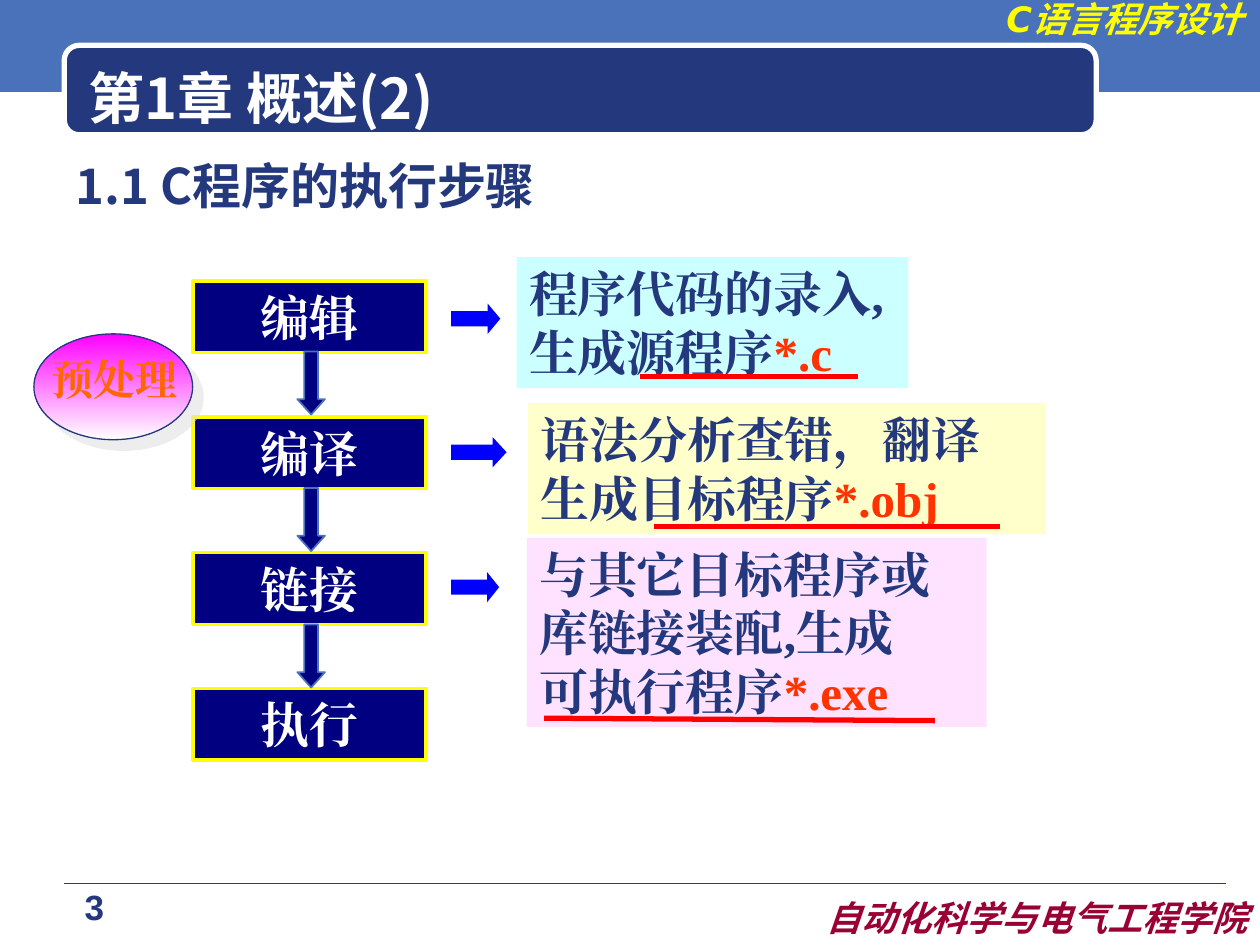
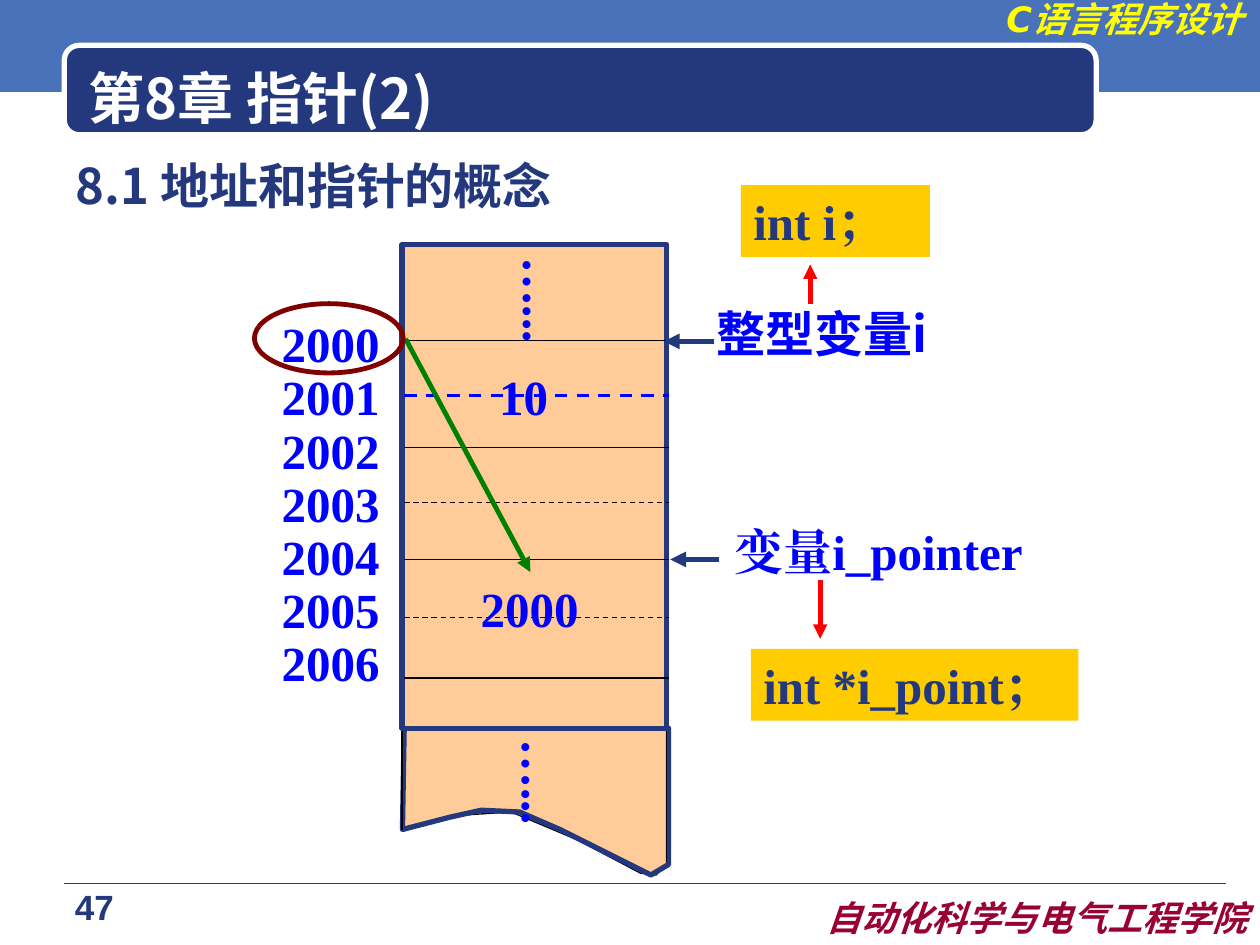
"""Build two C programming lecture slides: program steps and pointers."""
import pptx
import pptx.dml.color
import pptx.enum.dml
import pptx.enum.shapes
import pptx.enum.text
import pptx.oxml.ns
import pptx.oxml.xmlchemy
import pptx.util
from lxml import etree

Pt = pptx.util.Pt
RGBColor = pptx.dml.color.RGBColor
Preset = pptx.enum.shapes.MSO_SHAPE
Align = pptx.enum.text.PP_ALIGN
Anchor = pptx.enum.text.MSO_ANCHOR
qn = pptx.oxml.ns.qn

WHITE = RGBColor(0xFF, 0xFF, 0xFF)
BLACK = RGBColor(0x00, 0x00, 0x00)
BAND = RGBColor(0x49, 0x72, 0xBB)
RULE = RGBColor(0x1A, 0x3D, 0x97)
INDIGO = RGBColor(0x23, 0x38, 0x7D)
NAVY = RGBColor(0x00, 0x00, 0x80)
BLUE = RGBColor(0x00, 0x00, 0xFF)
YELLOW = RGBColor(0xFF, 0xFF, 0x00)
CRIMSON = RGBColor(0x99, 0x00, 0x33)
MAROON = RGBColor(0x80, 0x00, 0x00)
RED = RGBColor(0xFF, 0x00, 0x00)
SCARLET = RGBColor(0xFF, 0x33, 0x00)
ORANGE = RGBColor(0xFF, 0x66, 0x00)
MAGENTA = RGBColor(0xFF, 0x00, 0xFF)
GREEN = RGBColor(0x00, 0x80, 0x00)
CYAN_PALE = RGBColor(0xCC, 0xFF, 0xFF)
YELLOW_PALE = RGBColor(0xFF, 0xFF, 0xCC)
PINK_PALE = RGBColor(0xFE, 0xE2, 0xFF)
PEACH = RGBColor(0xFF, 0xCC, 0x99)
GOLD = RGBColor(0xFF, 0xCC, 0x00)
SERIF = "Times New Roman"
SANS = "Noto Sans CJK SC"


def draw_shape(slide, preset, frame, fill=None, outline=None, width=1, adjustment=None):
    """Add a shape, or a text box when preset is None, at a frame in points."""
    frame = [Pt(value) for value in frame]
    if preset is None:
        return slide.shapes.add_textbox(*frame)
    shape = slide.shapes.add_shape(preset, *frame)
    shape.shadow.inherit = False
    if fill is None:
        shape.fill.background()
    else:
        shape.fill.solid()
        shape.fill.fore_color.rgb = fill
    if outline is None:
        shape.line.fill.background()
    else:
        shape.line.color.rgb = outline
        shape.line.width = Pt(width)
    if adjustment is not None:
        shape.adjustments[len(shape.adjustments) - 1] = adjustment
    return shape


def write(shape, paragraphs, color, size=28, name=SERIF, align=Align.LEFT,
          anchor=Anchor.TOP, wrap=True, italic=False):
    """Fill a shape with paragraphs, each a list of (text, colour or None) runs."""
    frame = shape.text_frame
    frame.word_wrap = wrap
    frame.auto_size = pptx.enum.text.MSO_AUTO_SIZE.NONE
    frame.vertical_anchor = anchor
    for index, runs in enumerate(paragraphs):
        paragraph = frame.add_paragraph() if index else frame.paragraphs[0]
        paragraph.alignment = align
        paragraph.space_before = Pt(0)
        for text, run_color in runs:
            run = paragraph.add_run()
            run.text = text
            run.font.size = Pt(size)
            run.font.name = name
            run.font.bold = True
            run.font.italic = italic
            run.font.color.rgb = run_color or color
            east_asian = etree.SubElement(run.font._element, qn("a:ea"))
            east_asian.set("typeface", name)


presentation = pptx.Presentation()
presentation.slide_width = Pt(720)
presentation.slide_height = Pt(540)

slides = []
lines = []
for title, heading, number in [("第1章 概述(2)", "1.1 C程序的执行步骤", "3"),
                               ("第8章 指针(2)", "8.1 地址和指针的概念", "47")]:
    slide = presentation.slides.add_slide(presentation.slide_layouts[1])
    slides.append(slide)
    draw_shape(slide, Preset.RECTANGLE, (0, 0, 720, 52.6), BAND)
    draw_shape(slide, Preset.ROUNDED_RECTANGLE, (36.7, 25.9, 589.7, 51.1), INDIGO, WHITE, 3, 0.167)
    lines.append((slide, 36.7, 504.7, 700.6, 504.7, RULE, 0.25, False, False))
    for text, frame, color in [("C语言程序设计", (535.7, -5, 181.4, 31.7), YELLOW),
                               ("自动化科学与电气工程学院", (429.1, 509, 290.9, 31.7), CRIMSON)]:
        write(draw_shape(slide, None, frame), [[(text, None)]], color, 20, "DejaVu Sans",
              Align.RIGHT, italic=True)
    write(draw_shape(slide, None, (14.4, 502.6, 79.2, 31)), [[(number, None)]], INDIGO, 20,
          "Arial", Align.CENTER)
    for placeholder, text, frame, color, size, anchor in [
            (slide.shapes.title, title, (43.2, 33.1, 563.8, 44.6), WHITE, 32, Anchor.MIDDLE),
            (slide.placeholders[1], heading, (36, 85, 648, 413.3), INDIGO, 28, Anchor.TOP)]:
        slide.shapes._spTree.append(placeholder._element)
        placeholder.left, placeholder.top, placeholder.width, placeholder.height = map(Pt, frame)
        properties = placeholder.text_frame.paragraphs[0]._p.get_or_add_pPr()
        properties.set("marL", "0")
        properties.set("indent", "0")
        etree.SubElement(properties, qn("a:buNone"))
        write(placeholder, [[(text, None)]], color, size, SANS, anchor=anchor)

steps, pointers = slides

for index, step in enumerate(["编辑", "编译", "链接", "执行"]):
    box = draw_shape(steps, Preset.RECTANGLE, (110.2, 160.6 + 77.6 * index, 133.2, 41),
                     NAVY, YELLOW, 2)
    write(box, [[(step, None)]], WHITE, align=Align.CENTER, anchor=Anchor.MIDDLE)
for index in range(3):
    draw_shape(steps, Preset.DOWN_ARROW, (169.9, 200.9 + 78 * index, 15.8, 36), NAVY, BAND, 1, 0.555)

notes = [
    ((295.2, 146.9, 223.9, 74.9), CYAN_PALE, "程序代码的录入,", "生成源程序", "*.c", False,
     (257.8, 173.5, 28.1, 17.3), 0.417, (365.8, 215.3, 490.3, 215.3)),
    ((301.7, 230.4, 295.9, 74.9), YELLOW_PALE, "语法分析查错，翻译", "生成目标程序", "*.obj", True,
     (257.8, 249.8, 31.7, 17.3), 0.462, (373.7, 301, 571.7, 301)),
    ((301, 307.4, 262.8, 108), PINK_PALE, "与其它目标程序或库链接装配,生成", "可执行程序", "*.exe", True,
     (257.8, 326.9, 27.4, 17.3), 0.399, (311, 410.4, 534.2, 411.8)),
]
for frame, fill, action, result, extension, wrap, arrow, adjustment, underline in notes:
    note = draw_shape(steps, Preset.RECTANGLE, frame, fill)
    write(note, [[(action, None)], [(result, None), (extension, SCARLET)]], INDIGO, wrap=wrap)
    draw_shape(steps, Preset.RIGHT_ARROW, arrow, BLUE, adjustment=adjustment)
    lines.append((steps, *underline, RED, 3, False, False))

preprocess = draw_shape(steps, Preset.OVAL, (19.4, 190.8, 90.7, 60.5), MAGENTA, INDIGO, 0.75)
preprocess.fill.gradient()
preprocess.fill.gradient_angle = 270
for stop, color in zip(preprocess.fill.gradient_stops, (MAGENTA, WHITE)):
    stop.color.rgb = color
effects = preprocess._element.spPr.find(qn("a:effectLst"))
shadow = etree.SubElement(effects, qn("a:outerShdw"), blurRad="0", dist=str(Pt(8.5)), dir="2700000")
shadow_color = etree.SubElement(shadow, qn("a:srgbClr"), val="DDDDDD")
etree.SubElement(shadow_color, qn("a:alpha"), val="50000")
write(draw_shape(steps, None, (22.3, 198.7, 96.5, 36)), [[("预处理", None)]], ORANGE, 24)

tear_curve = [(229.7, 475.2), (262, 466), (292.3, 463.7), (330, 480), (365.8, 499),
              (375, 500), (380.9, 491.8)]
torn_end = [(231.1, 416.2), (381.6, 416.2), (381.6, 493.9), (372.2, 500.4), (319.7, 474.5),
            (297.4, 464.4), (275, 463), (257, 467.3), (229.7, 474.5)]
for points, fill, color, width in [(tear_curve, None, BLACK, 0.75), (torn_end, PEACH, INDIGO, 3)]:
    builder = pointers.shapes.build_freeform(*points[0], scale=Pt(1))
    builder.add_line_segments(points[1:], close=fill is not None)
    outline = builder.convert_to_shape()
    outline.shadow.inherit = False
    outline.line.color.rgb = color
    outline.line.width = Pt(width)
    if fill is None:
        outline.fill.background()
    else:
        outline.fill.solid()
        outline.fill.fore_color.rgb = fill
draw_shape(pointers, Preset.RECTANGLE, (229.7, 139.7, 151.2, 276.5), PEACH, INDIGO, 3)

for y, color, width, dashed in [(194.4, BLACK, 0.75, False), (226.1, BLUE, 1.75, True),
                                (255.6, BLACK, 0.75, False), (287.3, BLACK, 0.75, True),
                                (319.7, BLACK, 0.75, False), (352.8, BLACK, 0.75, True),
                                (387.4, BLACK, 0.75, False)]:
    lines.append((pointers, 231.1, y, 382.3, y, color, width, dashed, False))
for x, bottom in [(229.7, 474.5), (380.9, 492.5)]:
    lines.append((pointers, x, 417.6, x, bottom, BLACK, 0.75, False, False))
for ends, color, width in [((408.2, 195.1, 379.4, 195.1), INDIGO, 3),
                           ((411.1, 319.7, 383, 319.7), INDIGO, 3),
                           ((463, 173.5, 463, 151.2), RED, 2.75),
                           ((468.7, 331.2, 468.7, 365), RED, 2.75),
                           ((231.8, 193.7, 303.1, 326.9), GREEN, 2.75)]:
    lines.append((pointers, *ends, color, width, False, True))

for slide, x1, y1, x2, y2, color, width, dashed, arrow in lines:
    line = slide.shapes.add_connector(pptx.enum.shapes.MSO_CONNECTOR.STRAIGHT,
                                      Pt(x1), Pt(y1), Pt(x2), Pt(y2))
    line.line.color.rgb = color
    line.line.width = Pt(width)
    if dashed:
        line.line.dash_style = pptx.enum.dml.MSO_LINE.DASH
    if arrow:
        etree.SubElement(line.line._get_or_add_ln(), qn("a:tailEnd"), type="triangle")
    etree.SubElement(line._element.spPr, qn("a:effectLst"))

for frame in [(286.6, 139.7, 47.5, 56.2), (285.8, 415.4, 47.5, 56.2)]:
    dots = draw_shape(pointers, None, frame)
    write(dots, [[("…...", None)]], BLUE, align=Align.CENTER, anchor=Anchor.MIDDLE, wrap=False)
    body = dots.text_frame._txBody.bodyPr
    body.set("vert", "eaVert")
    for side, inset in zip(("lIns", "tIns", "rIns", "bIns"), (3.6, 7.2, 3.6, 7.2)):
        body.set(side, str(Pt(inset)))

cells = [(str(2000 + index), (154.1, 175.7 + 30.35 * index, 69.8, 41)) for index in range(7)]
cells += [("10", (277.9, 205.9, 42.5, 41)), ("2000", (267.8, 326.9, 69.8, 41))]
for text, frame in cells:
    write(draw_shape(pointers, None, frame), [[(text, None)]], BLUE, align=Align.CENTER,
          anchor=Anchor.MIDDLE, wrap=False)
draw_shape(pointers, Preset.OVAL, (145.4, 173.5, 85, 39.6), None, MAROON, 2.75)

for text, frame, name in [("整型变量i", (402.5, 169.9, 145.4, 41), SANS),
                          ("变量i_pointer", (412.6, 294.5, 200.2, 41), SERIF)]:
    write(draw_shape(pointers, None, frame), [[(text, None)]], BLUE, name=name)
for text, frame in [("int i；", (423.4, 105.8, 108, 41)),
                    ("int *i_point；", (429.1, 370.8, 187.2, 41))]:
    write(draw_shape(pointers, Preset.RECTANGLE, frame, GOLD), [[(text, None)]], INDIGO)

presentation.save("out.pptx")
